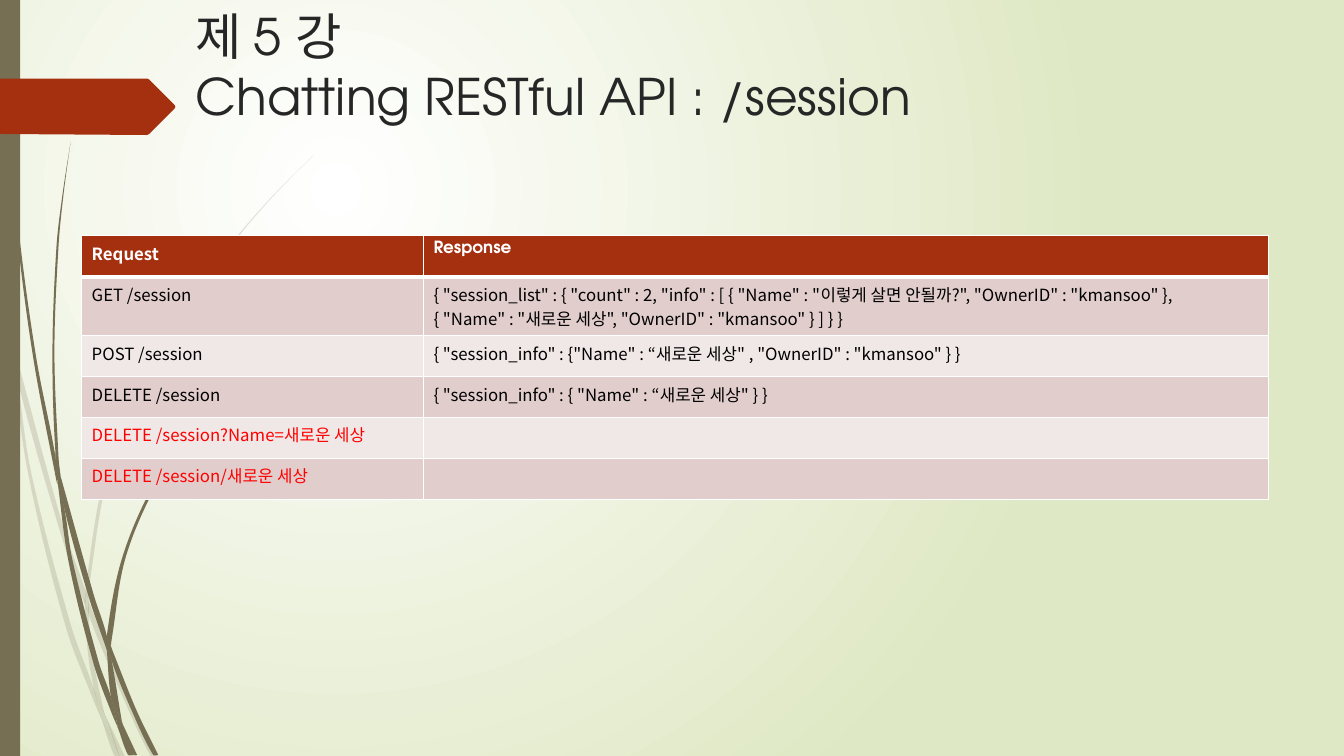
from math import dist
from lxml.etree import SubElement
from pptx import Presentation
from pptx.dml.color import RGBColor
from pptx.enum.shapes import MSO_SHAPE
from pptx.enum.text import MSO_ANCHOR, MSO_AUTO_SIZE, PP_ALIGN
from pptx.oxml.ns import qn
from pptx.util import Inches, Pt

W, H = 13.33, 7.5
COLORS = {
    "white": "FFFFFF", "green": "DFE8C4", "stem": "766F54", "accent": "A53010",
    "title": "262626", "black": "000000", "red": "FF0000",
    "odd": "E1CDCC", "even": "F0E8E7",
}
SANS, GEOMETRIC = "Noto Sans CJK KR", "TeX Gyre Adventor"

TITLE = ["제 5 강", "Chatting RESTful API : /session"]
ROWS = [
    (["Request"], ["Response"]),
    (["GET /session"],
     ['{ "session_list" : { "count" : 2, "info" : [ { "Name" : "이렇게 살면 안될까?", "OwnerID" : "kmansoo" },',
      '{ "Name" : "새로운 세상", "OwnerID" : "kmansoo" } ] } }']),
    (["POST /session"], ['{ "session_info" : {"Name" : “새로운 세상" , "OwnerID" : "kmansoo" } }']),
    (["DELETE /session"], ['{ "session_info" : { "Name" : “새로운 세상" } }']),
    (["DELETE /session?Name=새로운 세상"], []),
    (["DELETE /session/새로운 세상"], []),
]
RED_ROWS = (4, 5)
COLUMNS = (3.39, 8.38)
ROW_HEIGHT = Pt(29.2)

PALE_STEMS = [
    ([(0, 2.82), (0.09, 3.22), (0.11, 3.5)], [(0.1, 3.44), (0, 2.99)]),
    ([(0.14, 3.45), (0.62, 5.2), (0.85, 5.86)], [(0.84, 5.99), (0.58, 5.22), (0.17, 3.76)]),
    ([(0.88, 5.96), (0.92, 6.07), (1.27, 6.92), (1.55, 7.51)],
     [(1.5, 7.51), (1.23, 6.94), (0.88, 6.1)]),
    ([(1.05, 7.11), (1.24, 7.51)], [(1.19, 7.51)]),
    ([(0.11, 3.5), (0.17, 3.76), (0.31, 4.69), (0.7, 6.19), (0.93, 6.83), (0.99, 7.07), (1.01, 7.14)],
     [(0.92, 6.93), (0.65, 6.21), (0.28, 4.7)]),
    ([(0.84, 5.99), (0.88, 6.08), (0.88, 6.1), (0.91, 6.46), (1.03, 7.06), (1.05, 7.11)],
     [(0.96, 6.92), (0.93, 6.83), (0.87, 6.46)]),
    ([(3.12, 1.53), (2.68, 1.97), (2.28, 2.44), (1.58, 3.48), (1.07, 4.61), (0.85, 5.84), (0.88, 5.96)],
     [(0.88, 5.84), (1.1, 4.62), (1.6, 3.49), (2.29, 2.45), (2.68, 1.98)]),
    ([(1.01, 7.14), (1.19, 7.51)], [(1.14, 7.51)]),
    ([(0.85, 5.86), (0.88, 5.96), (0.88, 6.1)], [(0.88, 6.08), (0.84, 5.99)]),
    ([(0.93, 6.83), (0.96, 6.92), (1.05, 7.11), (1.19, 7.51)], [(1.01, 7.14), (0.99, 7.07)]),
]
DARK_STEMS = [
    ([(0.04, 0), (0.05, 0.48), (0.08, 1.09), (0.19, 2.32), (0.36, 3.55), (0.55, 4.53), (0.57, 4.81)],
     [(0.56, 4.77), (0.33, 3.55), (0.17, 2.33), (0.07, 1.1), (0.04, 0.48), (0.03, 0)]),
    ([(0.6, 4.72), (0.93, 5.9), (1.06, 6.31), (1.06, 6.45)], [(0.88, 5.92), (0.64, 5.05)]),
    ([(1.1, 6.41), (1.13, 6.49), (1.36, 7.06), (1.57, 7.49)],
     [(1.52, 7.49), (1.32, 7.08), (1.11, 6.56)]),
    ([(0.57, 4.77), (0.64, 5.05), (0.72, 5.56), (0.98, 6.57), (1.1, 6.91), (1.16, 7.17), (1.17, 7.22)],
     [(1.11, 7.08), (0.93, 6.59), (0.68, 5.57)]),
    ([(0.7, 1.41), (0.62, 1.93), (0.56, 2.45), (0.52, 3.49), (0.55, 4.49), (0.6, 4.72)],
     [(0.58, 4.53), (0.54, 3.49), (0.58, 2.45), (0.63, 1.93)]),
    ([(1.22, 7.19), (1.36, 7.49)], [(1.33, 7.49)]),
    ([(0.55, 4.49), (0.6, 4.72), (0.64, 5.05)], [(0.57, 4.77), (0.55, 4.53)]),
    ([(2.6, 3.44), (2.31, 3.73), (2.04, 4.05), (1.56, 4.74), (1.22, 5.51), (1.06, 6.31), (1.1, 6.41)],
     [(1.11, 6.33), (1.25, 5.52), (1.58, 4.76), (2.05, 4.06), (2.31, 3.74)]),
    ([(1.17, 7.22), (1.31, 7.49)], [(1.27, 7.49)]),
    ([(1.06, 6.45), (1.09, 6.51), (1.11, 6.56), (1.21, 7.16), (1.22, 7.19)],
     [(1.16, 7.06), (1.1, 6.91)]),
    ([(1.06, 6.31), (1.1, 6.41), (1.11, 6.56)], [(1.09, 6.51), (1.06, 6.45)]),
    ([(1.1, 6.91), (1.16, 7.06), (1.22, 7.19), (1.33, 7.49)], [(1.3, 7.49), (1.17, 7.22), (1.16, 7.17)]),
]
TAG = [(0, 0.78), (1.46, 0.78), (1.48, 0.79), (1.73, 1.04), (1.74, 1.06),
       (1.73, 1.08), (1.48, 1.33), (1.46, 1.34), (0, 1.33)]


def rgb(name):
    return RGBColor.from_string(COLORS[name])


def paint(sp, color, alpha=None):
    sp.shadow.inherit = False
    sp.fill.solid()
    sp.fill.fore_color.rgb = rgb(color)
    sp.line.fill.background()
    if alpha:
        clr = sp._element.spPr.find(qn("a:solidFill"))[0]
        SubElement(clr, qn("a:alpha"), val=str(alpha * 1000))


def outline(shapes, points, color, alpha=None):
    emu = [(Inches(x), Inches(y)) for x, y in points]
    builder = shapes.build_freeform(*emu[0], scale=1.0)
    builder.add_line_segments(emu[1:], close=True)
    sp = builder.convert_to_shape()
    paint(sp, color, alpha)
    return sp


def bezier(edge):
    padded = [edge[0], *edge, edge[-1]]
    for a, b, c, d in zip(padded, padded[1:], padded[2:], padded[3:]):
        span = dist(b, c) / 3
        u, v = span / dist(a, c), span / dist(b, d)
        yield (tuple(q + (r - p) * u for p, q, r in zip(a, b, c)),
               tuple(q - (r - p) * v for p, q, r in zip(b, c, d)), c)


def draw_stem(shapes, out, back, alpha):
    sp = outline(shapes, out + back, "stem", alpha)
    geometry = sp._element.find(".//" + qn("a:pathLst"))[0]
    for node in geometry[1:]:
        geometry.remove(node)
    for edge in (out, [out[-1], *back, out[0]]):
        for curve in bezier(edge):
            node = SubElement(geometry, qn("a:cubicBezTo"))
            for x, y in curve:
                SubElement(node, qn("a:pt"), x=str(Inches(x) - sp.left), y=str(Inches(y) - sp.top))
    SubElement(geometry, qn("a:close"))


def add_lines(p, lines, font, size, color, bold=False):
    for i, line in enumerate(lines):
        if i:
            p.add_line_break()
        r = p.add_run()
        r.text = line
        r.font.name, r.font.size, r.font.bold = font, Pt(size), bold
        r.font.color.rgb = rgb(color)
        SubElement(r._r.get_or_add_rPr(), qn("a:ea"), typeface=SANS)


def add_borders(cell, widths):
    tcPr = cell._tc.get_or_add_tcPr()
    for side, width in widths.items():
        ln = SubElement(tcPr, qn("a:ln" + side), w=str(Pt(width)))
        SubElement(SubElement(ln, qn("a:solidFill")), qn("a:srgbClr"), val=COLORS["white"])


prs = Presentation()
prs.slide_width, prs.slide_height = Inches(W), Inches(H)
s = prs.slides.add_slide(prs.slide_layouts[5])

fill = s.background.fill
fill.gradient()
for stop, name in zip(fill.gradient_stops, ("white", "green")):
    stop.color.rgb = rgb(name)
grad = s._element.find(".//" + qn("a:gradFill"))
grad.remove(grad.find(qn("a:lin")))
circle = SubElement(grad, qn("a:path"), path="circle")
SubElement(circle, qn("a:fillToRect"), l="50000", t="50000", r="100000", b="100000")

for stems, alpha in ((PALE_STEMS, 20), (DARK_STEMS, None)):
    group = s.shapes.add_group_shape()
    for out, back in stems:
        draw_stem(group.shapes, out, back, alpha)

paint(s.shapes.add_shape(MSO_SHAPE.RECTANGLE, 0, 0, Inches(0.2), Inches(H)), "stem")
outline(s.shapes, TAG, "accent")

title = s.shapes.title
s.shapes._spTree.append(title._element)
title.left, title.top, title.width, title.height = map(Inches, (1.84, 0, 9.75, 1.4))
tf = title.text_frame
tf.word_wrap = True
tf.auto_size = MSO_AUTO_SIZE.NONE
tf.vertical_anchor = MSO_ANCHOR.TOP
p = tf.paragraphs[0]
p.alignment = PP_ALIGN.LEFT
add_lines(p, TITLE, GEOMETRIC, 36, "title")

table = s.shapes.add_table(
    len(ROWS), len(COLUMNS), Inches(0.81), Inches(2.34),
    Inches(sum(COLUMNS)), ROW_HEIGHT * len(ROWS)).table
table.horz_banding = False
for column, width in zip(table.columns, COLUMNS):
    column.width = Inches(width)
for i, row in enumerate(ROWS):
    table.rows[i].height = ROW_HEIGHT
    header = i == 0
    band = "accent" if header else "odd" if i % 2 else "even"
    color = "white" if header else "red" if i in RED_ROWS else "black"
    for j, lines in enumerate(row):
        cell = table.cell(i, j)
        add_borders(cell, {"L": 1, "R": 1, "T": 3 if i == 1 else 1, "B": 3 if header else 1})
        cell.fill.solid()
        cell.fill.fore_color.rgb = rgb(band)
        p = cell.text_frame.paragraphs[0]
        p.font.size = Pt(12)
        add_lines(p, lines, GEOMETRIC if header and j else SANS, 12, color, header)

prs.save("out.pptx")
